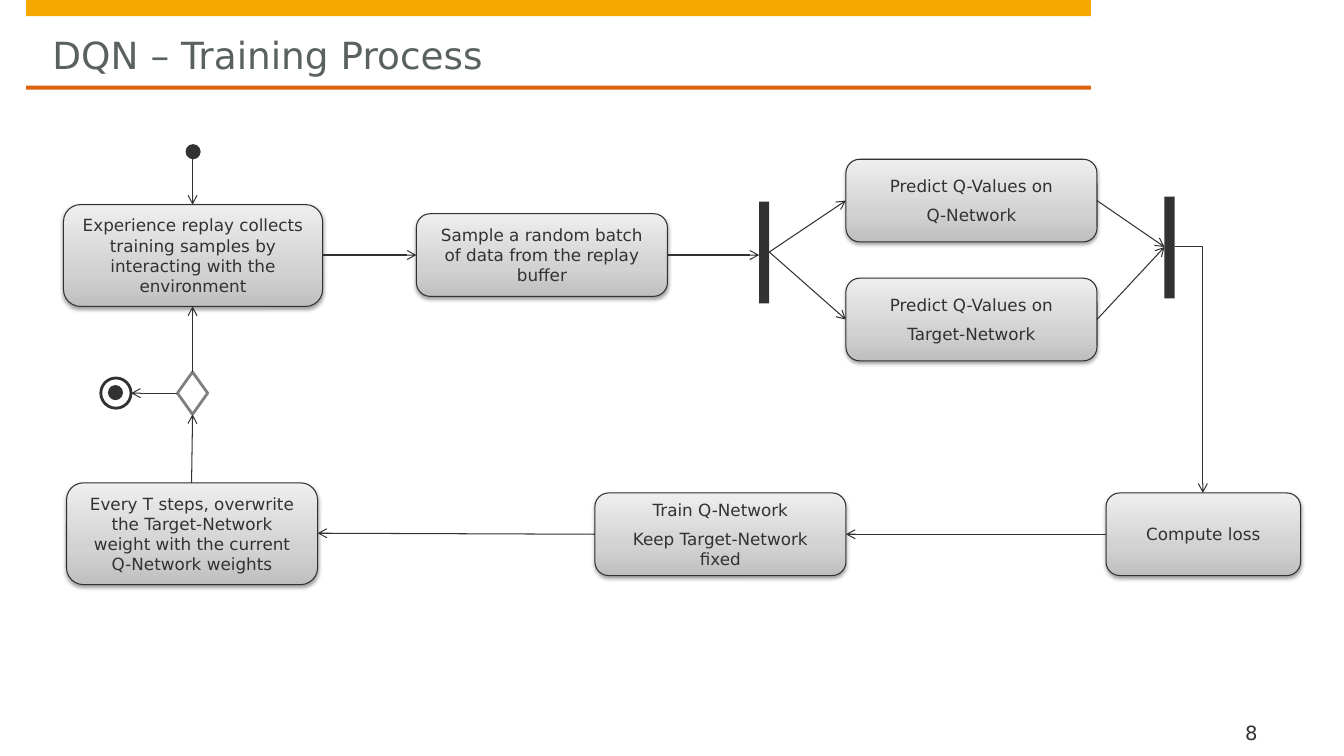
from lxml import etree
from pptx import Presentation
from pptx import util as u
from pptx.dml import color
from pptx.enum import shapes, text
from pptx.oxml import ns, parse_xml

PX = 9144
INK, TITLE_GREY, DIAMOND_GREY = "323232", "5A6161", "808080"
AMBER, ORANGE, WHITE, OUTLINE = "F6A800", "DD640C", "FFFFFF", "313131"
NODE_STOPS = ((0, "BFBFBF"), (35, "D2D2D2"), (100, "EEEEEE"))
KIND = shapes.MSO_SHAPE


def rgb(value):
    """Turn a hex string into a colour."""
    return color.RGBColor.from_string(value)


def emu(*lengths):
    """Turn px lengths into EMU."""
    return [u.Emu(length * PX) for length in lengths]


def write(frame, *lines, size=12, ink=INK, align="LEFT", anchor="MIDDLE",
          insets=(12, 8, 12, 8), spacing=0):
    """Fill a text frame with one paragraph per line."""
    frame.word_wrap = True
    frame.vertical_anchor = getattr(text.MSO_ANCHOR, anchor)
    (frame.margin_left, frame.margin_top,
     frame.margin_right, frame.margin_bottom) = emu(*insets)
    for index, line in enumerate(lines):
        paragraph = frame.add_paragraph() if index else frame.paragraphs[0]
        paragraph.alignment = getattr(text.PP_ALIGN, align)
        paragraph.space_before = paragraph.space_after = u.Pt(spacing)
        run = paragraph.add_run()
        run.text = line
        run.font.size, run.font.name = u.Pt(size), "DejaVu Sans"
        run.font.color.rgb = rgb(ink)


def label(slide, box, line, **style):
    """Place a text box."""
    write(slide.shapes.add_textbox(*emu(*box)).text_frame, line, **style)


def mark(slide, box, kind, fill=INK, outline=None, width=2):
    """Place a flat preset shape."""
    shape = slide.shapes.add_shape(kind, *emu(*box))
    shape.shadow.inherit = False
    shape.fill.solid()
    shape.fill.fore_color.rgb = rgb(fill)
    if outline:
        shape.line.color.rgb = rgb(outline)
        shape.line.width = u.Pt(width)
    else:
        shape.line.fill.background()
    return shape


def node(slide, box, *lines):
    """Place a shaded activity node with its wording."""
    activity = mark(slide, box, KIND.ROUNDED_RECTANGLE, WHITE, OUTLINE, 0.75)
    stops = "".join(f'<a:gs pos="{pos * 1000}"><a:srgbClr val="{tone}"/></a:gs>'
                    for pos, tone in NODE_STOPS)
    gradient = parse_xml(
        f'<a:gradFill {ns.nsdecls("a")} rotWithShape="1"><a:gsLst>{stops}</a:gsLst>'
        '<a:lin ang="16200000" scaled="0"/></a:gradFill>')
    shadow = parse_xml(
        f'<a:outerShdw {ns.nsdecls("a")} blurRad="39370" dist="20320" dir="5400000" '
        'rotWithShape="0"><a:srgbClr val="000000"><a:alpha val="38000"/>'
        '</a:srgbClr></a:outerShdw>')
    properties = activity._element.spPr
    properties.replace(properties.find(ns.qn("a:solidFill")), gradient)
    properties.find(ns.qn("a:effectLst")).append(shadow)
    write(activity.text_frame, *lines, align="CENTER", spacing=3)


def edge(box, side):
    """Return the middle of one side of a box."""
    left, top, width, height = box
    return {"left": (left, top + height // 2),
            "right": (left + width, top + height // 2),
            "top": (left + width // 2, top),
            "bottom": (left + width // 2, top + height)}[side]


def arrow(slide, start, end, bent=False):
    """Draw an open-headed arrow, straight or with one bend."""
    kind = shapes.MSO_CONNECTOR.ELBOW if bent else shapes.MSO_CONNECTOR.STRAIGHT
    link = slide.shapes.add_connector(kind, *emu(*start, *end))
    link.line.color.rgb = rgb(INK)
    link.line.width = u.Pt(0.75)
    properties = link._element.spPr
    if bent:
        properties.find(ns.qn("a:prstGeom")).set("prst", "bentConnector2")
    etree.SubElement(properties.find(ns.qn("a:ln")), ns.qn("a:tailEnd"), type="arrow")
    etree.SubElement(properties, ns.qn("a:effectLst"))


def header(slide, box):
    """Draw the title between its two coloured bands."""
    left, top, width, height = box
    mark(slide, (left, top, width, 16), KIND.RECTANGLE, AMBER)
    mark(slide, (left, top + height - 4, width, 4), KIND.RECTANGLE, ORANGE)
    label(slide, (left + 26, top + 16, width - 53, 61), "DQN – Training Process",
          size=26.7, ink=TITLE_GREY, insets=(0, 16, 0, 0))


def final_state(slide, box):
    """Draw the ringed dot that ends the process."""
    left, top, width, height = box
    mark(slide, box, KIND.OVAL, WHITE, INK)
    mark(slide, (left + width // 4, top + height // 4, width // 2, height // 2), KIND.OVAL)


def training_flow(slide, box):
    """Draw the activity diagram of the training loop."""
    left, top = box[:2]
    places = {
        "start": (121, 0, 15, 15), "replay": (0, 60, 257, 101),
        "sample": (350, 69, 249, 82), "fork": (690, 57, 10, 101),
        "q_net": (776, 15, 249, 82), "target_net": (776, 133, 249, 82),
        "join": (1092, 52, 10, 101), "loss": (1034, 346, 193, 82),
        "train": (527, 346, 249, 82), "overwrite": (3, 336, 249, 101),
        "decision": (113, 226, 30, 42), "finish": (37, 232, 30, 30),
    }
    places = {part: (left + x, top + y, width, height)
              for part, (x, y, width, height) in places.items()}
    wording = {
        "replay": ["Experience replay collects training samples by "
                   "interacting with the environment"],
        "sample": ["Sample a random batch of data from the replay buffer"],
        "q_net": ["Predict Q-Values on", "Q-Network"],
        "target_net": ["Predict Q-Values on", "Target-Network"],
        "loss": ["Compute loss"],
        "train": ["Train Q-Network", "Keep Target-Network fixed"],
        "overwrite": ["Every T steps, overwrite the Target-Network weight "
                      "with the current Q-Network weights"],
    }
    for part, lines in wording.items():
        node(slide, places[part], *lines)
    mark(slide, places["start"], KIND.OVAL)
    for bar in ("fork", "join"):
        mark(slide, places[bar], KIND.RECTANGLE)
    mark(slide, places["decision"], KIND.DIAMOND, WHITE, DIAMOND_GREY)
    final_state(slide, places["finish"])

    steps = [
        ("start", "bottom", "replay", "top"), ("replay", "right", "sample", "left"),
        ("fork", "right", "q_net", "left"), ("fork", "right", "target_net", "left"),
        ("q_net", "right", "join", "left"), ("target_net", "right", "join", "left"),
        ("loss", "left", "train", "right"), ("train", "left", "overwrite", "right"),
        ("overwrite", "top", "decision", "bottom"),
        ("decision", "top", "replay", "bottom"), ("decision", "left", "finish", "right"),
    ]
    for source, leaving, target, entering in steps:
        arrow(slide, edge(places[source], leaving), edge(places[target], entering))
    sampled = edge(places["sample"], "right")
    arrow(slide, sampled, (places["fork"][0], sampled[1]))
    arrow(slide, edge(places["join"], "right"), edge(places["loss"], "top"), bent=True)


def main():
    """Build and save the slide."""
    deck = Presentation()
    deck.slide_width, deck.slide_height = emu(1333, 750)
    slide = deck.slides.add_slide(deck.slide_layouts[6])
    header(slide, (26, 0, 1056, 89))
    training_flow(slide, (63, 143, 1227, 437))
    label(slide, (1223, 709, 84, 29), "8", size=14, anchor="BOTTOM", insets=(12, 0, 0, 0))
    deck.save("out.pptx")


if __name__ == "__main__":
    main()
